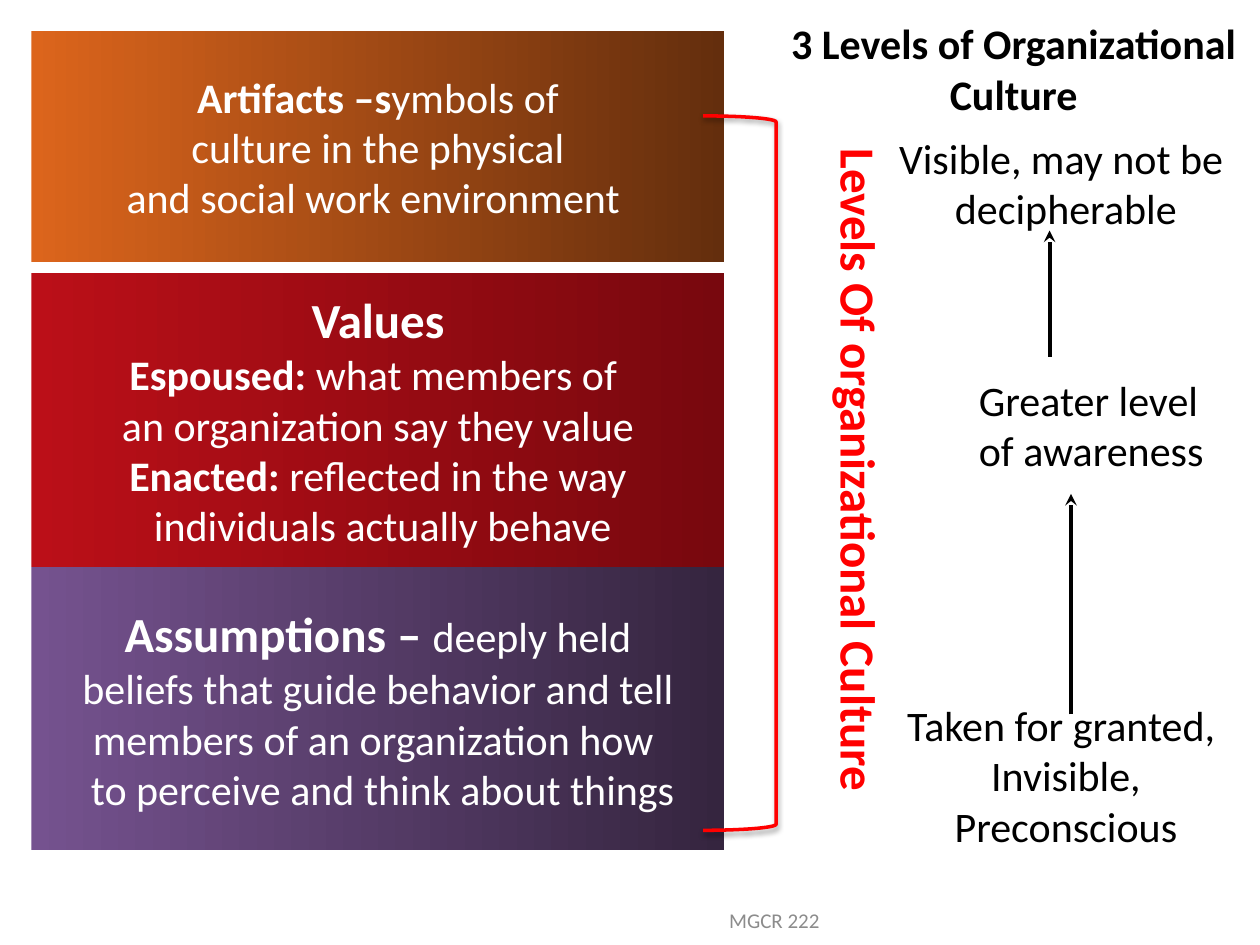
import dataclasses

import pptx
import pptx.dml.color
import pptx.enum.shapes
import pptx.enum.text
import pptx.oxml
import pptx.oxml.ns
import pptx.util
from pptx.util import Inches

ALIGN = pptx.enum.text.PP_ALIGN
ANCHOR = pptx.enum.text.MSO_ANCHOR
FIT = pptx.enum.text.MSO_AUTO_SIZE
SHAPE = pptx.enum.shapes.MSO_SHAPE


@dataclasses.dataclass(frozen=True)
class Theme:
    font: str = "Calibri"
    body: int = 24
    heading: int = 28
    footer: int = 12
    ink: str = "000000"
    light: str = "FFFFFF"
    muted: str = "8C8C8C"
    accent: str = "FF0000"
    artifacts: tuple = ("DC651C", "642E0D")
    values: tuple = ("BB0F18", "78080E")
    assumptions: tuple = ("75528F", "35253F")


THEME = Theme()


def rgb(value):
    return pptx.dml.color.RGBColor.from_string(value)


def inches(box):
    return [Inches(length) for length in box]


def write(frame, lines, color, align=ALIGN.CENTER, anchor=ANCHOR.TOP, wrap=True):
    frame.word_wrap = wrap
    frame.auto_size = FIT.NONE
    frame.vertical_anchor = anchor
    for index, line in enumerate(lines):
        paragraph = frame.add_paragraph() if index else frame.paragraphs[0]
        paragraph.alignment = align
        for text, size, bold in line:
            run = paragraph.add_run()
            run.text = text
            run.font.name = THEME.font
            run.font.size = pptx.util.Pt(size)
            run.font.bold = bold
            run.font.color.rgb = rgb(color)


def plain(*texts):
    return [[(text, THEME.body, False)] for text in texts]


def add_effects(properties, content=""):
    properties.append(pptx.oxml.parse_xml(
        f'<a:effectLst {pptx.oxml.ns.nsdecls("a")}>{content}</a:effectLst>'))


def add_title(slide, box):
    title = slide.shapes.title
    title.left, title.top, title.width, title.height = inches(box)
    write(title.text_frame, [[("3 Levels of Organizational Culture", THEME.body, True)]],
          THEME.ink, anchor=ANCHOR.MIDDLE)


def add_level(slide, box, gradient, lines):
    level = slide.shapes.add_shape(SHAPE.RECTANGLE, *inches(box))
    level.shadow.inherit = False
    level.line.fill.background()
    level.fill.gradient()
    level.fill.gradient_angle = 0
    for stop, color in zip(level.fill.gradient_stops, gradient):
        stop.color.rgb = rgb(color)
    write(level.text_frame, lines, THEME.light, anchor=ANCHOR.MIDDLE, wrap=False)


def add_levels(slide, left, top, width):
    body, heading = THEME.body, THEME.heading
    artifacts = [[("Artifacts –s", body, True), ("ymbols of", body, False)],
                 *plain("culture in the physical", "and social work environment ")]
    values = [[("Values", heading, True)],
              [("Espoused: ", body, True), ("what members of ", body, False)],
              *plain("an organization say they value"),
              [("Enacted: ", body, True), ("reflected in the way", body, False)],
              *plain(" individuals actually behave")]
    assumptions = [[("Assumptions – ", heading, True), ("deeply held", body, False)],
                   *plain(" beliefs that guide behavior and tell ",
                          "members of an organization how ",
                          " to perceive and think about things")]
    for offset, height, gradient, lines in (
            (0, 1.83, THEME.artifacts, artifacts),
            (1.92, 2.33, THEME.values, values),
            (4.25, 2.25, THEME.assumptions, assumptions)):
        add_level(slide, (left, top + offset, width, height), gradient, lines)


def add_label(slide, box, lines, color=THEME.ink, **layout):
    label = slide.shapes.add_textbox(*inches(box))
    write(label.text_frame, lines, color, **layout)
    return label


def add_arrow(slide, x, start, end):
    arrow = slide.shapes.add_connector(
        pptx.enum.shapes.MSO_CONNECTOR.STRAIGHT, *inches((x, start, x, end)))
    arrow.line.color.rgb = rgb(THEME.ink)
    arrow.line.width = pptx.util.Pt(2.25)
    arrow.line._get_or_add_ln().append(pptx.oxml.parse_xml(
        f'<a:tailEnd {pptx.oxml.ns.nsdecls("a")} type="stealth"/>'))
    add_effects(arrow.element.spPr)


def add_awareness(slide, left, top):
    add_label(slide, (left + 0.14, top, 2.8, 0.91),
              plain("Visible, may not be ", "decipherable"), wrap=False)
    add_label(slide, (left + 0.75, top + 1.92, 2.18, 0.9),
              plain("Greater level", "of awareness"), align=ALIGN.LEFT, wrap=False)
    add_arrow(slide, left + 1.58, top + 4.67, top + 2.92)
    add_arrow(slide, left + 1.41, top + 1.83, top + 0.83)
    add_label(slide, (left, top + 4.5, 3.08, 1.31),
              plain("Taken for granted, ", "Invisible, Preconscious"))


def add_bracket(slide, left, top, height):
    bracket = slide.shapes.add_shape(
        SHAPE.RIGHT_BRACKET, *inches((left, top, 0.58, height)))
    bracket.fill.background()
    bracket.line.color.rgb = rgb(THEME.accent)
    bracket.line.width = pptx.util.Pt(2)
    add_effects(bracket.element.spPr,
                '<a:outerShdw blurRad="40000" dist="20000" dir="5400000" rotWithShape="0">'
                '<a:srgbClr val="000000"><a:alpha val="38000"/></a:srgbClr></a:outerShdw>')
    caption = add_label(slide, (left + 0.86, top + 0.16, 0.67, 5.5),
                        [[("Levels Of organizational Culture", THEME.heading, True)]],
                        THEME.accent, align=ALIGN.LEFT)
    caption.element.txBody.bodyPr.set("vert", "vert")


def add_footer(slide, box):
    add_label(slide, box, [[("MGCR 222 ", THEME.footer, False)]],
              THEME.muted, anchor=ANCHOR.MIDDLE)


def main():
    presentation = pptx.Presentation()
    presentation.slide_width, presentation.slide_height = inches((10, 7.5))
    slide = presentation.slides.add_slide(presentation.slide_layouts[5])
    add_levels(slide, 0.25, 0.25, 5.5)
    add_title(slide, (6.13, -0.17, 3.83, 1.42))
    add_awareness(slide, 6.92, 1)
    add_footer(slide, (4.58, 7.1, 3.17, 0.4))
    add_bracket(slide, 5.58, 0.92, 5.67)
    presentation.save("out.pptx")


if __name__ == "__main__":
    main()
